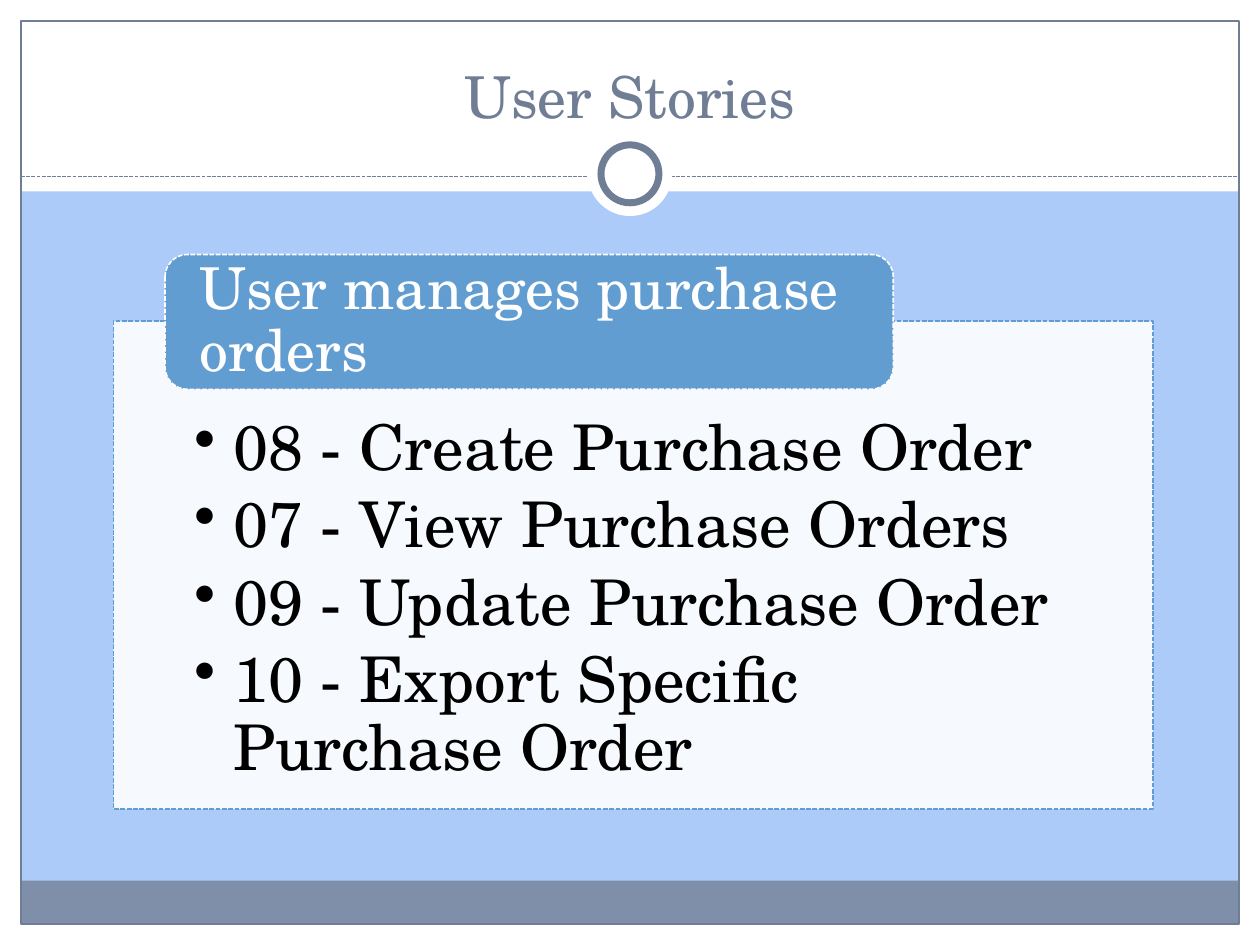
from lxml import etree
from pptx import Presentation
from pptx import util as u
from pptx.dml.color import RGBColor
from pptx.enum import dml, shapes, text
from pptx.oxml import ns

WHITE = RGBColor(0xFF, 0xFF, 0xFF)
BLACK = RGBColor(0x00, 0x00, 0x00)
SKY = RGBColor(0xAC, 0xCB, 0xF9)
SLATE = RGBColor(0x70, 0x7E, 0x95)
FOOTER = RGBColor(0x7F, 0x8F, 0xA9)
BLUE = RGBColor(0x62, 0x9D, 0xD1)

COLUMNS, ROWS = 100, 75
EDGE = 1.67
INNER = COLUMNS - 2 * EDGE
MIDDLE = COLUMNS / 2
RECTANGLE = shapes.MSO_SHAPE.RECTANGLE
OVAL = shapes.MSO_SHAPE.OVAL
ROUNDED = shapes.MSO_SHAPE.ROUNDED_RECTANGLE
DASH = dml.MSO_LINE.SQUARE_DOT

STORIES = [
    "08 - Create Purchase Order",
    "07 - View Purchase Orders",
    "09 - Update Purchase Order",
    "10 - Export Specific Purchase Order",
]


def apply(target, values):
    for name, value in values.items():
        setattr(target, name, value)


class SlideBuilder:
    font_name = "TeX Gyre Schola"

    def __init__(self, deck):
        self.cell_width = deck.slide_width / COLUMNS
        self.cell_height = deck.slide_height / ROWS
        self.page = deck.slides.add_slide(deck.slide_layouts[6])

    def background(self, color):
        fill = self.page.background.fill
        fill.solid()
        fill.fore_color.rgb = color

    def x(self, columns):
        return u.Emu(round(columns * self.cell_width))

    def y(self, rows):
        return u.Emu(round(rows * self.cell_height))

    def place(self, left, top, width, height):
        return self.x(left), self.y(top), self.x(width), self.y(height)

    def outline(self, line, color, points, dash=None):
        line.color.rgb = color
        line.width = u.Pt(points)
        if dash:
            line.dash_style = dash

    def shape(self, kind, area, fill=None, line=None, opacity=None):
        shape = self.page.shapes.add_shape(kind, *self.place(*area))
        shape.shadow.inherit = False
        if fill is None:
            shape.fill.background()
        else:
            shape.fill.solid()
            shape.fill.fore_color.rgb = fill
        if opacity:
            color = shape._element.spPr.find(".//" + ns.qn("a:srgbClr"))
            etree.SubElement(color, ns.qn("a:alpha"), val=str(opacity * 1000))
        if line:
            self.outline(shape.line, *line)
        else:
            shape.line.fill.background()
        return shape

    def circle(self, row, diameter, line=None):
        left, top = MIDDLE - diameter / 2, row - diameter / 2
        return self.shape(OVAL, (left, top, diameter, diameter), WHITE, line)

    def rule(self, row, line):
        rule = self.page.shapes.add_connector(
            shapes.MSO_CONNECTOR.STRAIGHT,
            self.x(EDGE), self.y(row), self.x(COLUMNS - EDGE), self.y(row))
        self.outline(rule.line, *line)
        etree.SubElement(rule._element.spPr, ns.qn("a:effectLst"))

    def text_box(self, area):
        return self.page.shapes.add_textbox(*self.place(*area))

    def bullet(self, para):
        para.level = 1
        properties = para._p.get_or_add_pPr()
        indent = u.Inches(0.31)
        properties.set("marL", str(indent))
        properties.set("indent", str(-indent))
        etree.SubElement(properties, ns.qn("a:buChar"), char="•")

    def fill_text(self, box, lines, size, color, frame_format, para_format, bullets=False):
        frame = box.text_frame
        apply(frame, {"word_wrap": True, **frame_format})
        for index, line in enumerate(lines):
            para = frame.add_paragraph() if index else frame.paragraphs[0]
            if bullets:
                self.bullet(para)
            apply(para, para_format)
            span = para.add_run()
            span.text = line
            apply(span.font, {"name": self.font_name, "size": u.Pt(size)})
            span.font.color.rgb = color


def main():
    deck = Presentation()
    deck.slide_width, deck.slide_height = u.Inches(10), u.Inches(7.5)
    slide = SlideBuilder(deck)
    slide.background(SKY)

    bands = [
        ((0, ROWS - EDGE, COLUMNS, EDGE), WHITE),
        ((0, 0, COLUMNS, 15.2), WHITE),
        ((0, 0, EDGE, ROWS), WHITE),
        ((COLUMNS - EDGE, 0, EDGE, ROWS), WHITE),
        ((EDGE, 69.9, INNER, 3.4), FOOTER),
    ]
    for area, color in bands:
        slide.shape(RECTANGLE, area, color)
    slide.shape(RECTANGLE, (EDGE, EDGE, INNER, ROWS - 2 * EDGE), line=(SLATE, 0.75))
    slide.rule(14, (SLATE, 0.75, DASH))
    slide.circle(13.8, 6.7)
    slide.circle(13.8, 4.6, (SLATE, 4))

    title = slide.text_box((3.3, 2.5, 93.4, 8.3))
    slide.fill_text(title, ["User Stories"], 33, SLATE,
                    {"vertical_anchor": text.MSO_ANCHOR.BOTTOM},
                    {"alignment": text.PP_ALIGN.CENTER})

    card = slide.shape(RECTANGLE, (9, 25.5, 82.5, 38.7), WHITE, (BLUE, 0.9, DASH), 90)
    side = u.Inches(0.64)
    left_aligned = {"alignment": text.PP_ALIGN.LEFT, "line_spacing": 0.9}
    slide.fill_text(card, STORIES, 36, BLACK,
                    {"vertical_anchor": text.MSO_ANCHOR.TOP,
                     "margin_left": side, "margin_right": side,
                     "margin_top": u.Inches(0.75), "margin_bottom": u.Inches(0.28)},
                    {**left_aligned, "space_after": u.Pt(5.4)}, bullets=True)

    heading = slide.shape(ROUNDED, (13.1, 20.2, 57.8, 10.7), BLUE, (WHITE, 0.9, DASH))
    side = u.Inches(0.22)
    slide.fill_text(heading, ["User manages purchase orders"], 33, WHITE,
                    {"vertical_anchor": text.MSO_ANCHOR.MIDDLE,
                     "margin_left": side, "margin_right": side,
                     "margin_top": 0, "margin_bottom": 0},
                    left_aligned)

    deck.save("out.pptx")


if __name__ == "__main__":
    main()
